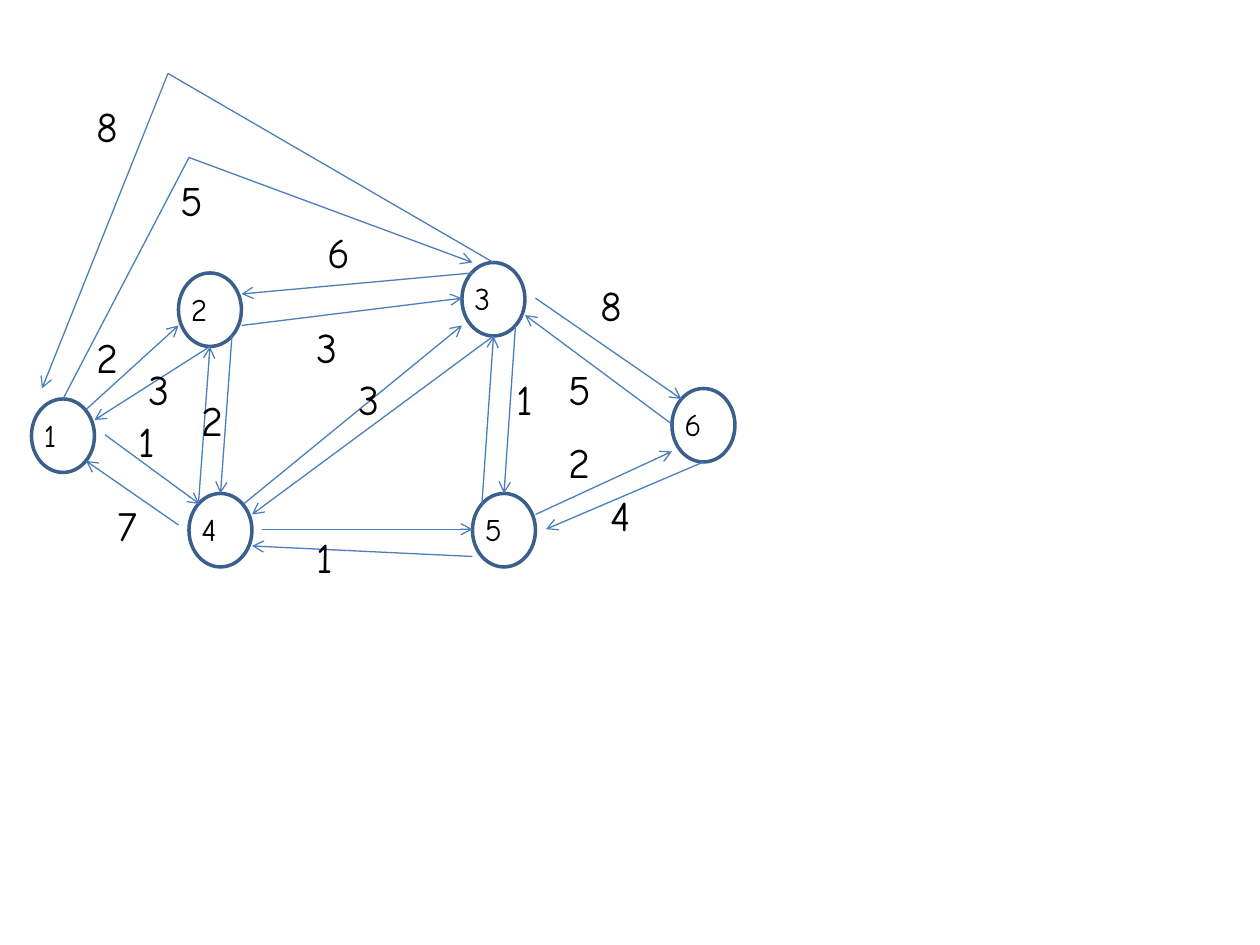
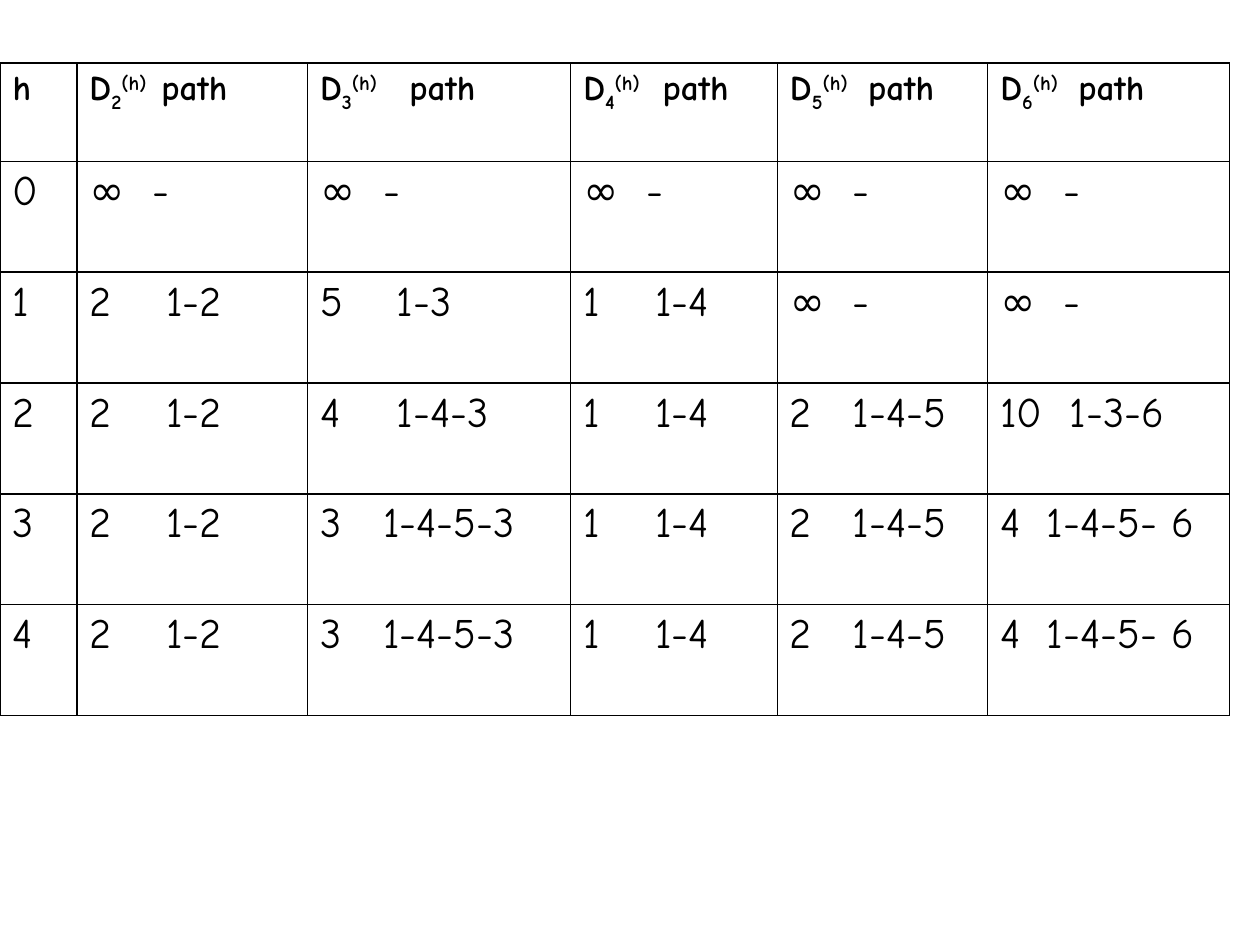
from itertools import pairwise

from lxml import etree
from pptx import Presentation
from pptx.dml.color import RGBColor
from pptx.enum.shapes import MSO_CONNECTOR, MSO_SHAPE
from pptx.enum.text import MSO_AUTO_SIZE
from pptx.oxml.ns import qn
from pptx.util import Inches, Pt

STRAIGHT = MSO_CONNECTOR.STRAIGHT
OVAL = MSO_SHAPE.OVAL
GROW = MSO_AUTO_SIZE.SHAPE_TO_FIT_TEXT

# Shared look
INK = RGBColor(0x00, 0x00, 0x00)
PAPER = RGBColor(0xFF, 0xFF, 0xFF)
NODE_LINE = RGBColor(0x3A, 0x5F, 0x8C)
EDGE_LINE = RGBColor(0x4B, 0x7E, 0xBC)
FONT = "Comic Neue"
COLUMNS = 120  # grid steps across a slide

# Graph, in grid steps: node corners, then weights, then routes
NODES = {"2": (17, 26), "3": (44, 25), "4": (18, 47),
         "5": (45, 47), "6": (64, 37), "1": (3, 38)}
NODE_SIZE = (6, 7)
NARROW, WIDE = 7, 8
WEIGHTS = [
    ("6", 30, 21, NARROW), ("2", 8, 31, NARROW), ("7", 10, 47, NARROW),
    ("1", 29, 50, NARROW), ("3", 33, 35, NARROW), ("1", 48, 35, NARROW),
    ("8", 56, 26, NARROW), ("4", 57, 46, NARROW),
    ("8", 8, 9, WIDE), ("2", 53, 41, WIDE), ("5", 53, 34, WIDE),
    ("3", 29, 30, WIDE), ("2", 18, 37, WIDE), ("1", 12, 39, WIDE),
    ("3", 13, 34, WIDE), ("5", 16, 16, WIDE),
]
ROUTES = [
    [(23.2, 48), (44, 31)], [(47, 32), (24, 49)],          # 4 and 3
    [(25, 50.4), (45, 50.4)], [(45, 53), (24, 52)],        # 4 and 5
    [(49.1, 31), (48, 47)], [(45.9, 48), (47, 32)],        # 3 and 5
    [(51, 28.4), (64.9, 38)], [(64, 40.4), (50, 30)],      # 3 and 6
    [(51, 49), (64, 43)], [(67, 44), (52, 50.4)],          # 5 and 6
    [(8.2, 39), (17, 31)], [(20, 33), (9, 40)],            # 1 and 2
    [(10, 41.4), (19, 48)], [(17, 50), (8.2, 43.9)],       # 1 and 4
    [(22.1, 31.9), (21, 47)], [(18.9, 48), (20, 33)],      # 2 and 4
    [(23, 31), (44, 28.4)], [(45, 26), (23, 28)],          # 2 and 3
    [(6, 38), (18, 15), (45, 25)],                         # 1 over to 3
    [(47, 25), (16, 7), (4, 37)],                          # 3 over to 1
]

# Table: each cell is (value, route, tab stop in inches)
COLUMN_WIDTHS = [0.61, 1.83, 2.09, 1.64, 1.67, 1.92]
HEADER_HEIGHT, ROW_HEIGHT = 0.78, 0.88
HEADER_TABS = [0.57, 0.71, 0.63, 0.62, 0.62]
NONE = ("∞", "-", 0.5)
TO_2 = ("2", "1-2", 0.61)
TO_4 = ("1", "1-4", 0.57)
TO_5 = ("2", "1-4-5", 0.5)
TO_3_LAST = ("3", "1-4-5-3", 0.5)
TO_6_LAST = ("4", "1-4-5- 6", 0.37)
HOPS = [
    [NONE] * 5,
    [TO_2, ("5", "1-3", 0.61), TO_4, NONE, NONE],
    [TO_2, ("4", "1-4-3", 0.61), TO_4, TO_5, ("10", "1-3-6", 0.55)],
    [TO_2, TO_3_LAST, TO_4, TO_5, TO_6_LAST],
    [TO_2, TO_3_LAST, TO_4, TO_5, TO_6_LAST],
]


def style(para, size, bold=False):
    para.font.name = FONT
    para.font.size = Pt(size)
    para.font.bold = bold
    para.font.color.rgb = INK


def add_label(shapes, text, left, top, width, height, size):
    box = shapes.add_textbox(left, top, width, height)
    frame = box.text_frame
    frame.word_wrap = True
    frame.auto_size = GROW
    frame.text = text
    style(frame.paragraphs[0], size)


def add_node(shapes, name, left, top, step):
    """A numbered ring, grouped with its number."""
    group = shapes.add_group_shape()
    width, height = (side * step for side in NODE_SIZE)
    ring = group.shapes.add_shape(OVAL, left, top, width, height)
    ring.shadow.inherit = False
    ring.fill.background()
    ring.line.color.rgb = NODE_LINE
    ring.line.width = Pt(2)
    add_label(group.shapes, name, left, top + step, NARROW * step, Inches(0.4), 18)


def add_edge(shapes, start, end, arrow):
    edge = shapes.add_connector(STRAIGHT, *start, *end)
    edge.line.color.rgb = EDGE_LINE
    edge.line.width = Pt(0.75)
    if arrow:
        line = edge.line._get_or_add_ln()
        etree.SubElement(line, qn("a:tailEnd"), type="arrow")
    etree.SubElement(edge._element.spPr, qn("a:effectLst"))


def draw_graph(page, left, top, width):
    step = width // COLUMNS

    def at(column, row):
        return left + round(column * step), top + round(row * step)

    for name, corner in NODES.items():
        add_node(page.shapes, name, *at(*corner), step)
    for route in ROUTES:
        points = [at(*point) for point in route]
        for start, end in pairwise(points):
            add_edge(page.shapes, start, end, arrow=end == points[-1])
    for text, column, row, span in WEIGHTS:
        add_label(page.shapes, text, *at(column, row), span * step, Inches(0.5), 24)


def set_tab(para, inches):
    stops = etree.Element(qn("a:tabLst"))
    etree.SubElement(stops, qn("a:tab"), pos=str(Inches(inches)), algn="l")
    para._p.get_or_add_pPr().insert(0, stops)


def frame_cell(cell):
    """White fill and a thin black border on every side."""
    cell.fill.solid()
    cell.fill.fore_color.rgb = PAPER
    properties = cell._tc.get_or_add_tcPr()
    for place, side in enumerate(("a:lnL", "a:lnR", "a:lnT", "a:lnB")):
        line = etree.Element(qn(side), w=str(Pt(1)))
        fill = etree.SubElement(line, qn("a:solidFill"))
        etree.SubElement(fill, qn("a:srgbClr"), val=str(INK))
        properties.insert(place, line)


def write_cell(cell, spans, size, bold=False, tab=None):
    """Spans are (text, baseline shift in percent)."""
    frame_cell(cell)
    para = cell.text_frame.paragraphs[0]
    for text, shift in spans:
        span = para.add_run()
        span.text = text
        if shift:
            span._r.get_or_add_rPr().set("baseline", str(shift * 1000))
    style(para, size, bold)
    if tab:
        set_tab(para, tab)


def draw_table(page, left, top):
    heights = [HEADER_HEIGHT] + [ROW_HEIGHT] * len(HOPS)
    table = page.shapes.add_table(
        len(heights), len(COLUMN_WIDTHS), left, top,
        Inches(sum(COLUMN_WIDTHS)), Inches(sum(heights))).table
    table.first_row = table.horz_banding = False
    for column, width in zip(table.columns, COLUMN_WIDTHS):
        column.width = Inches(width)
    for row, height in zip(table.rows, heights):
        row.height = Inches(height)

    # Header: D with node below and hop count above
    write_cell(table.cell(0, 0), [("h", 0)], 20, bold=True)
    for column, tab in enumerate(HEADER_TABS, 1):
        spans = [("D", 0), (str(column + 1), -25), ("(h)", 30), ("\tpath", 0)]
        write_cell(table.cell(0, column), spans, 20, bold=True, tab=tab)

    # One row per hop count
    for hop, entries in enumerate(HOPS):
        write_cell(table.cell(hop + 1, 0), [(str(hop), 0)], 24)
        for column, (value, route, tab) in enumerate(entries, 1):
            write_cell(table.cell(hop + 1, column), [(f"{value}\t{route}", 0)], 24, tab=tab)


deck = Presentation()
deck.slide_width, deck.slide_height = Inches(10), Inches(7.5)
blank = deck.slide_layouts[6]
draw_graph(deck.slides.add_slide(blank), 0, 0, deck.slide_width)
draw_table(deck.slides.add_slide(blank), 0, deck.slide_height // 15)
deck.save("out.pptx")
